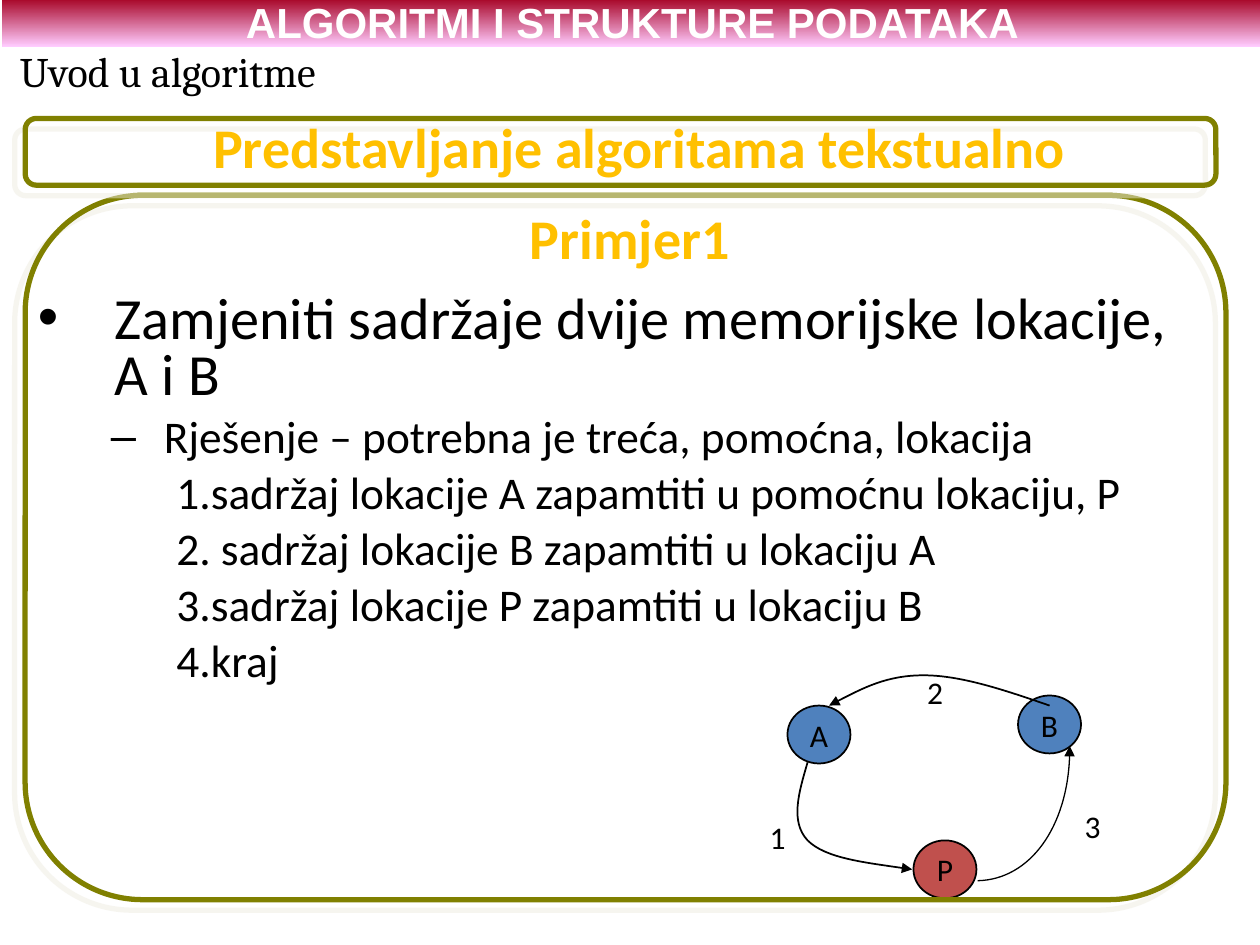
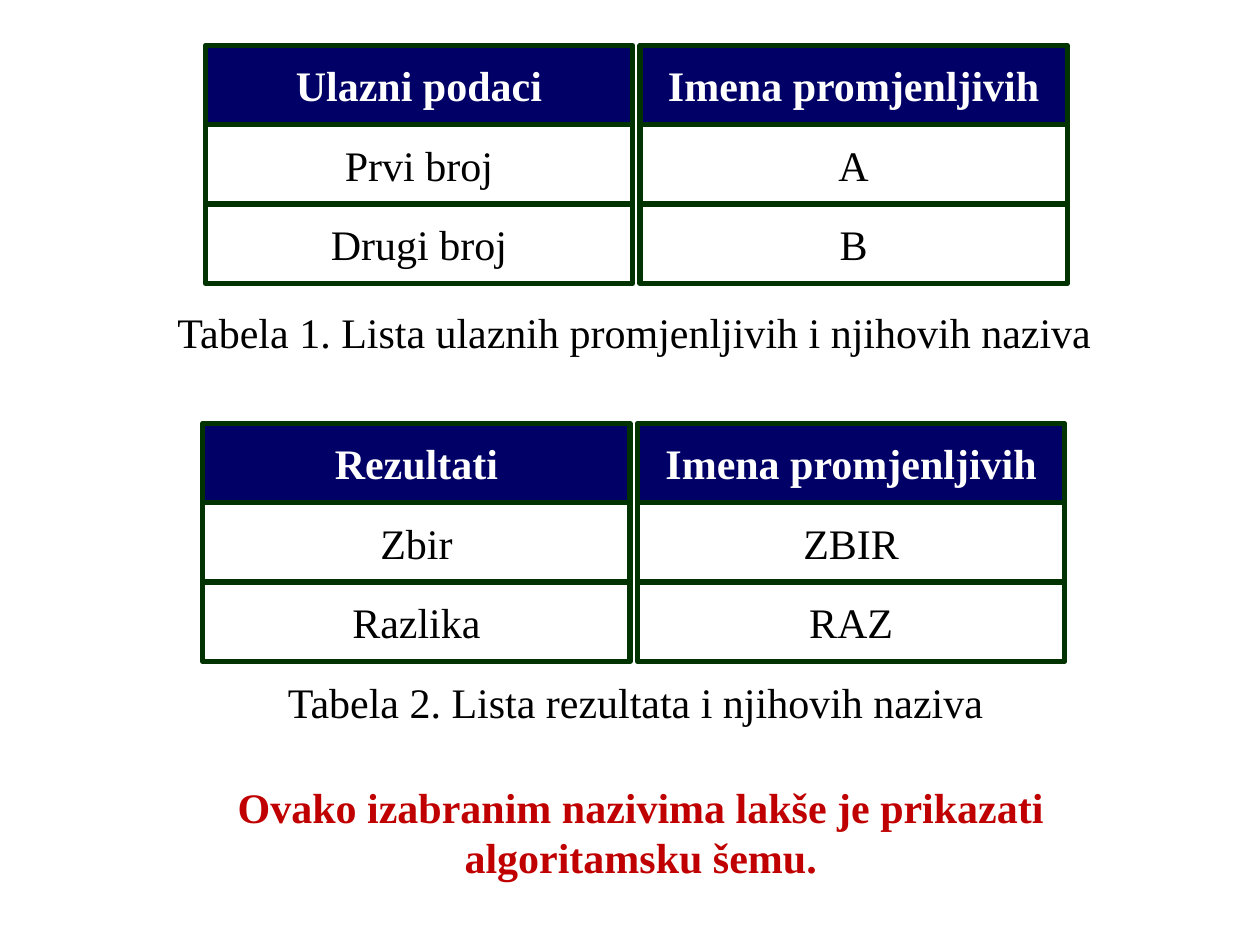
from lxml import etree
from pptx import Presentation
from pptx.dml.color import RGBColor
from pptx.enum.shapes import MSO_SHAPE
from pptx.enum.text import MSO_ANCHOR, MSO_AUTO_SIZE, PP_ALIGN
from pptx.oxml.ns import qn
from pptx.util import Inches, Pt

COLORS = {
    "black": "000000", "white": "FFFFFF", "gold": "FFC000", "olive": "808000",
    "cream": "EEECE1", "blue": "4F81BD", "red": "C0504D", "crimson": "A50021",
    "pink": "FFCCFF", "navy": "000066", "green": "003300", "alert": "C00000",
}


def rgb(name):
    return RGBColor.from_string(COLORS[name])


def add_xml(parent, tag, **attrs):
    return etree.SubElement(parent, qn(tag), attrs)


class Deck:
    def __init__(self):
        self.prs = Presentation()
        self.prs.slide_width, self.prs.slide_height = Inches(10), Inches(7.5)
        self.s = None

    def new_slide(self, layout):
        self.s = self.prs.slides.add_slide(self.prs.slide_layouts[layout])

    def place(self, sp, box):
        sp.left, sp.top, sp.width, sp.height = [Inches(v) for v in box]

    def style(self, p, size, font, color="black", bold=False, align=PP_ALIGN.LEFT):
        p.alignment = align
        p.font.size, p.font.name, p.font.bold = Pt(size), font, bold
        p.font.color.rgb = rgb(color)

    def title(self, text, box):
        sp = self.s.shapes.title
        self.place(sp, box)
        tf = sp.text_frame
        tf.text, tf.vertical_anchor = text, MSO_ANCHOR.MIDDLE
        tf.auto_size = MSO_AUTO_SIZE.NONE
        self.style(tf.paragraphs[0], 32, "Calibri", "gold", True, PP_ALIGN.CENTER)

    def body(self, items, levels, box):
        sp = self.s.placeholders[1]
        self.place(sp, box)
        tf = sp.text_frame
        tf.auto_size = MSO_AUTO_SIZE.NONE
        for i, (level, text) in enumerate(items):
            p = tf.paragraphs[0] if i == 0 else tf.add_paragraph()
            size, margin, indent, bullet = levels[level]
            p.text, p.level, p.line_spacing = text, level, 0.8
            p.space_before = Pt(7 if i else 0)
            pPr = p._p.get_or_add_pPr()
            pPr.set("marL", str(Inches(margin)))
            pPr.set("indent", str(Inches(indent)))
            add_xml(add_xml(pPr, "a:buClr"), "a:srgbClr", val=COLORS["black"])
            if bullet:
                add_xml(pPr, "a:buChar", char=bullet)
            else:
                add_xml(pPr, "a:buAutoNum", type="arabicPeriod")
            self.style(p, size, "Calibri")

    def text(self, text, box, size=24, font="Times New Roman", color="black",
             bold=False, align=PP_ALIGN.CENTER, wrap=True):
        sp = self.s.shapes.add_textbox(*[Inches(v) for v in box])
        tf = sp.text_frame
        tf.text, tf.word_wrap = text, wrap
        self.style(tf.paragraphs[0], size, font, color, bold, align)

    def shape(self, kind, box, fill=None, line=None, width=1):
        sp = self.s.shapes.add_shape(kind, *[Inches(v) for v in box])
        self.paint(sp, fill, line, width)
        return sp

    def paint(self, sp, fill, line, width):
        sp.shadow.inherit = False
        if fill:
            sp.fill.solid()
            sp.fill.fore_color.rgb = rgb(fill)
        else:
            sp.fill.background()
        if line:
            sp.line.color.rgb, sp.line.width = rgb(line), Pt(width)
        else:
            sp.line.fill.background()

    def label(self, sp, text, size, font, color="black", bold=False, wrap=True):
        tf = sp.text_frame
        tf.text, tf.word_wrap = text, wrap
        tf.vertical_anchor = MSO_ANCHOR.MIDDLE
        self.style(tf.paragraphs[0], size, font, color, bold, PP_ALIGN.CENTER)

    def band(self, text, box):
        sp = self.shape(MSO_SHAPE.RECTANGLE, box)
        sp.fill.gradient()
        sp.fill.gradient_angle = 270
        for stop, color in zip(sp.fill.gradient_stops, ("crimson", "pink")):
            stop.color.rgb = rgb(color)
        self.label(sp, text, 24, "Arial", "white", True)

    def frame(self, box):
        sp = self.shape(MSO_SHAPE.ROUNDED_RECTANGLE, box, line="olive", width=3)
        effects = sp._element.spPr.find(qn("a:effectLst"))
        shadow = add_xml(effects, "a:outerShdw", dist=str(Pt(8.5)), dir="8100000",
                         algn="ctr", rotWithShape="0")
        color = add_xml(shadow, "a:srgbClr", val=COLORS["cream"])
        add_xml(color, "a:alpha", val="50000")

    def node(self, text, x, y, fill):
        sp = self.shape(MSO_SHAPE.OVAL, (x, y, 0.5, 0.46), fill, "black")
        self.label(sp, text, 18, "Calibri", wrap=False)

    def curved_arrow(self, points, width=1):
        start, *rest = [(Inches(x), Inches(y)) for x, y in points]
        builder = self.s.shapes.build_freeform(*start)
        builder.add_line_segments(rest, close=False)
        sp = builder.convert_to_shape()
        self.paint(sp, None, "black", width)
        segments = list(sp._element.iter(qn("a:lnTo")))
        outline = segments[0].getparent()
        for i in range(0, len(segments), 3):
            curve = add_xml(outline, "a:cubicBezTo")
            for segment in segments[i:i + 3]:
                curve.append(segment[0])
                outline.remove(segment)
        add_xml(sp.line._get_or_add_ln(), "a:tailEnd", type="triangle")

    def box_grid(self, rows, left, top):
        width, height, gap = 3.39, 0.63, 0.06
        for i, row in enumerate(rows):
            head = i == 0
            for j, text in enumerate(row):
                box = (left + j * (width + gap), top + i * height, width, height)
                sp = self.shape(MSO_SHAPE.RECTANGLE, box,
                                "navy" if head else None, "green", 3)
                self.label(sp, text, 24, "Times New Roman",
                           "white" if head else "black", head)


def text_slide(deck):
    deck.new_slide(1)
    deck.title("Primjer1", (0.5, 1.49, 9, 0.78))
    levels = {0: (33.3, 0.61, -0.61, "•"), 1: (25.9, 1, -0.42, "–"),
              3: (25.9, 1.37, -0.27, None)}
    deck.body([
        (0, "Zamjeniti sadržaje dvije memorijske lokacije, A i B"),
        (1, "Rješenje – potrebna je treća, pomoćna, lokacija"),
        (3, "sadržaj lokacije A zapamtiti u pomoćnu lokaciju, P"),
        (3, " sadržaj lokacije B zapamtiti u lokaciju A"),
        (3, "sadržaj lokacije P zapamtiti u lokaciju B"),
        (3, "kraj"),
    ], levels, (0.2, 2.29, 9.53, 3.33))

    for node in (("A", 6.25, 5.6, "blue"), ("P", 7.25, 6.67, "red"),
                 ("B", 8.08, 5.52, "blue")):
        deck.node(*node)
    deck.curved_arrow([(8.33, 5.6), (7.98, 5.48), (7.63, 5.36), (7.33, 5.36),
                       (7.04, 5.36), (6.81, 5.48), (6.58, 5.6)])
    deck.curved_arrow([(6.41, 6.05), (6.34, 6.29), (6.27, 6.52), (6.41, 6.67),
                       (6.55, 6.81), (6.9, 6.85), (7.24, 6.9)])
    deck.curved_arrow([(7.76, 6.99), (8.18, 6.98), (8.5, 6.52), (8.49, 5.92)], 0.75)
    for step, x, y in (("1", 6.01, 6.44), ("2", 7.26, 5.29), ("3", 8.51, 6.36)):
        deck.text(step, (x, y, 0.32, 0.4), 18, "Calibri",
                  align=PP_ALIGN.LEFT, wrap=False)

    deck.frame((0.2, 1.55, 9.53, 5.59))
    deck.frame((0.2, 0.94, 9.45, 0.53))
    deck.text("Predstavljanje algoritama tekstualno", (1.3, 0.84, 7.55, 0.64),
              32, "Calibri", "gold", True)
    deck.band("ALGORITMI I STRUKTURE PODATAKA", (0.02, -0.02, 10, 0.39))
    deck.text("Uvod u algoritme", (0.06, 0.31, 2.56, 0.5), 24, "Cambria",
              align=PP_ALIGN.LEFT, wrap=False)


def variables_slide(deck):
    deck.new_slide(6)
    names = "Imena promjenljivih"
    deck.box_grid([("Ulazni podaci", names), ("Prvi broj", "A"),
                   ("Drugi broj", "B")], 1.63, 0.36)
    deck.box_grid([("Rezultati", names), ("Zbir", "ZBIR"),
                   ("Razlika", "RAZ")], 1.61, 3.36)
    deck.text("Tabela 1. Lista ulaznih promjenljivih i njihovih naziva",
              (0.43, 2.38, 9.21, 0.5))
    deck.text("Tabela 2. Lista rezultata i njihovih naziva", (1.63, 5.32, 6.83, 0.5))
    deck.text("Ovako izabranim nazivima lakše je prikazati algoritamsku šemu.",
              (0.83, 6.15, 8.51, 0.9), color="alert", bold=True)


def main():
    deck = Deck()
    text_slide(deck)
    variables_slide(deck)
    deck.prs.save("out.pptx")


if __name__ == "__main__":
    main()
